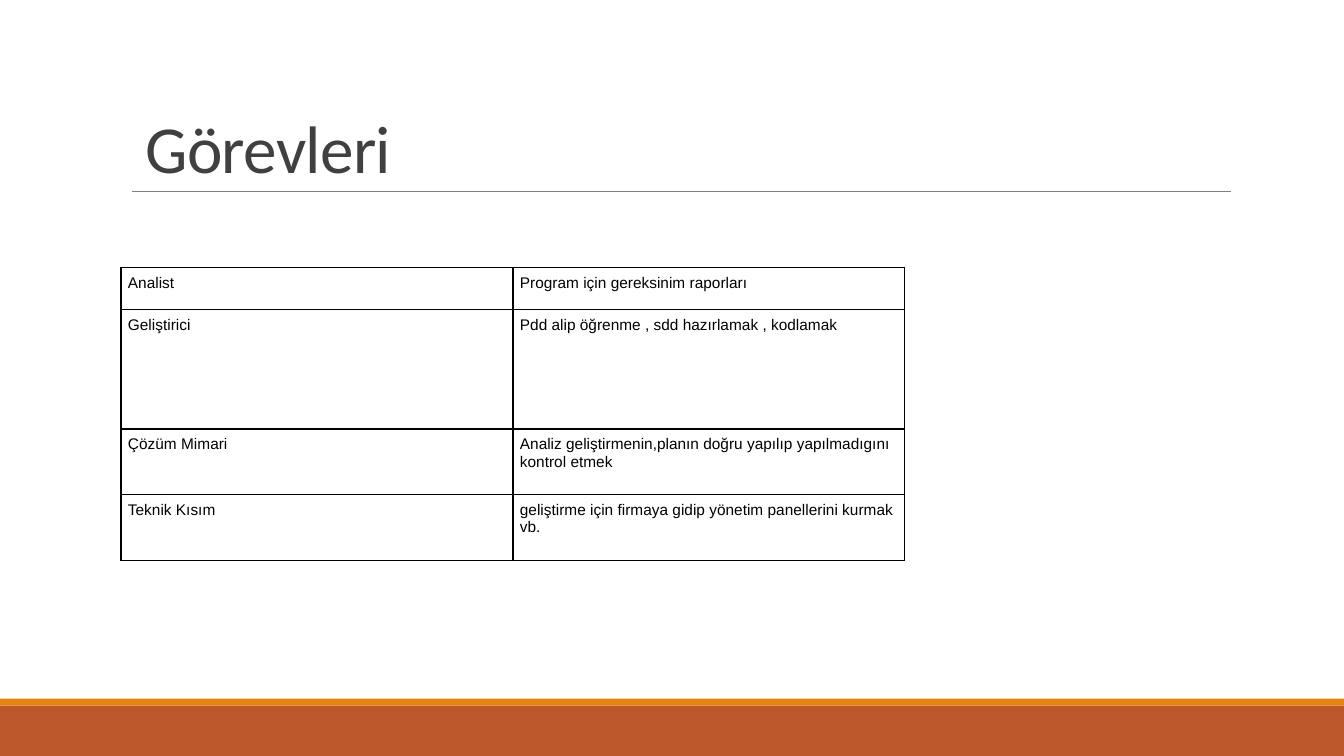
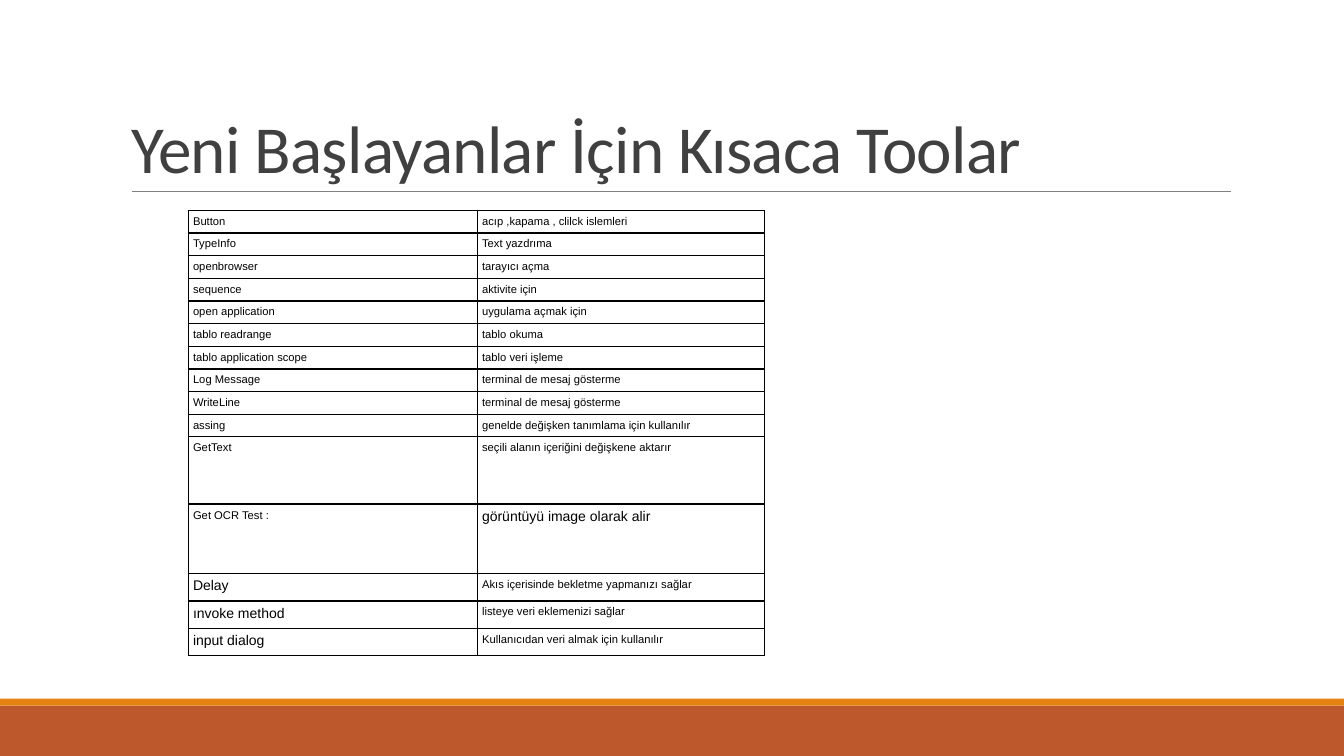
from lxml import etree
from pptx import Presentation
from pptx.dml.color import RGBColor
from pptx.enum.shapes import MSO_CONNECTOR, MSO_SHAPE
from pptx.enum.text import MSO_ANCHOR, PP_ALIGN
from pptx.oxml.ns import qn
from pptx.util import Pt

LEFT, TOP, BOTTOM = PP_ALIGN.LEFT, MSO_ANCHOR.TOP, MSO_ANCHOR.BOTTOM
RECTANGLE, STRAIGHT = MSO_SHAPE.RECTANGLE, MSO_CONNECTOR.STRAIGHT

RUST = RGBColor(0xBD, 0x58, 0x2C)
ORANGE = RGBColor(0xE4, 0x83, 0x12)
GRAY = RGBColor(0x80, 0x80, 0x80)
CHARCOAL = RGBColor(0x40, 0x40, 0x40)
BLACK = RGBColor(0, 0, 0)

PAGE_WIDTH, PAGE_HEIGHT = 960, 540
TITLE_ONLY = 5
TITLE_AREA = (86.4, 22.5, 792, 114.5)
TITLE_INSET = 7.2
BANDS = [(504, 36, RUST), (499, 5, ORANGE)]  # top, height, colour
RULE = (94.5, 136.7, 879, 136.7)

# Row groups: row height, label size, description size, rows
SLIDES = [
    {
        "title": "Görevleri",
        "indent": 10.4,
        "origin": (86.4, 190.8),
        "columns": (280, 280),
        "inset": 5,
        "groups": [
            (30, 11, 11, [("Analist", "Program için gereksinim raporları")]),
            (85.7, 11, 11, [
                ("Geliştirici", "Pdd alip öğrenme , sdd hazırlamak , kodlamak"),
            ]),
            (47, 11, 11, [
                ("Çözüm Mimari",
                 "Analiz geliştirmenin,planın doğru yapılıp yapılmadıgını kontrol etmek"),
                ("Teknik Kısım",
                 "geliştirme için firmaya gidip yönetim panellerini kurmak vb."),
            ]),
        ],
    },
    {
        "title": "Yeni Başlayanlar İçin Kısaca Toolar",
        "indent": 0,
        "origin": (134.5, 150.2),
        "columns": (206.5, 205),
        "inset": 3.4,
        "groups": [
            (16.2, 8, 8, [
                ("Button", "acıp ,kapama , clilck islemleri"),
                ("TypeInfo", "Text yazdrıma"),
                ("openbrowser", "tarayıcı açma"),
                ("sequence", "aktivite için"),
                ("open application", "uygulama açmak için"),
                ("tablo readrange", "tablo okuma"),
                ("tablo application scope", "tablo veri işleme"),
                ("Log Message", "terminal de mesaj gösterme"),
                ("WriteLine", "terminal de mesaj gösterme"),
                ("assing", "genelde değişken tanımlama için kullanılır"),
            ]),
            (48, 8, 8, [("GetText", "seçili alanın içeriğini değişkene aktarır")]),
            (49.7, 8, 10, [("Get OCR Test :", "görüntüyü image olarak alir")]),
            (19.5, 10, 8, [
                ("Delay", "Akıs içerisinde bekletme yapmanızı sağlar"),
                ("ınvoke method", "listeye veri eklemenizi sağlar"),
                ("input dialog", "Kullanıcıdan veri almak için kullanılır"),
            ]),
        ],
    },
]


def points(values):
    return [Pt(value) for value in values]


def add_run(para, text, font_name, size, color):
    span = para.add_run()
    span.text = text
    span.font.name = font_name
    span.font.size = Pt(size)
    span.font.color.rgb = color
    return span


def prepare_layout(layout, page):
    """Draw the shared bands and rule on page, then move them to its layout."""
    title = layout.placeholders[0]
    title.left, title.top, title.width, title.height = points(TITLE_AREA)
    title.text_frame.vertical_anchor = BOTTOM

    decorations = []
    for top, height, color in BANDS:
        band = page.shapes.add_shape(RECTANGLE, *points((0, top, PAGE_WIDTH, height)))
        band.shadow.inherit = False
        band.fill.solid()
        band.fill.fore_color.rgb = color
        band.line.fill.background()
        decorations.append(band)

    rule = page.shapes.add_connector(STRAIGHT, *points(RULE))
    rule.line.color.rgb = GRAY
    rule.line.width = Pt(0.5)
    etree.SubElement(rule.element.spPr, qn("a:effectLst"))
    decorations.append(rule)

    for number, shape in enumerate(decorations, start=100):
        shape.element.xpath(".//p:cNvPr")[0].set("id", str(number))
        layout.shapes.element.append(shape.element)


def fill_title(title, text, indent):
    frame = title.text_frame
    frame.margin_left = Pt(TITLE_INSET + indent)
    para = frame.paragraphs[0]
    para.alignment = LEFT
    para.line_spacing = 0.85
    span = add_run(para, text, "Calibri", 48, CHARCOAL)
    span.font._element.set("spc", "-50")


def add_borders(cell):
    properties = cell._tc.get_or_add_tcPr()
    for position, side in enumerate(("lnL", "lnR", "lnT", "lnB")):
        border = etree.Element(qn(f"a:{side}"), w=str(Pt(1)))
        fill = etree.SubElement(border, qn("a:solidFill"))
        etree.SubElement(fill, qn("a:srgbClr"), val=str(BLACK))
        properties.insert(position, border)


def fill_cell(cell, text, size, inset):
    cell.fill.background()
    add_borders(cell)
    cell.margin_left = cell.margin_right = Pt(inset)
    cell.margin_top = cell.margin_bottom = Pt(inset)
    cell.vertical_anchor = TOP
    add_run(cell.text_frame.paragraphs[0], text, "Arial", size, BLACK)


def add_grid(page, content):
    rows = [
        (height, zip(texts, (label_size, text_size)))
        for height, label_size, text_size, entries in content["groups"]
        for texts in entries
    ]
    columns = content["columns"]
    size = (sum(columns), sum(height for height, _ in rows))
    frame = page.shapes.add_table(
        len(rows), len(columns), *points(content["origin"] + size)
    )
    table = frame.table
    table.first_row = table.horz_banding = False
    for column, width in zip(table.columns, columns):
        column.width = Pt(width)
    for row, (height, cells) in zip(table.rows, rows):
        row.height = Pt(height)
        for cell, (text, font_size) in zip(row.cells, cells):
            fill_cell(cell, text, font_size, content["inset"])


def main():
    deck = Presentation()
    deck.slide_width, deck.slide_height = points((PAGE_WIDTH, PAGE_HEIGHT))
    layout = deck.slide_layouts[TITLE_ONLY]
    pages = [deck.slides.add_slide(layout) for _ in SLIDES]
    prepare_layout(layout, pages[0])
    for page, content in zip(pages, SLIDES):
        fill_title(page.shapes.title, content["title"], content["indent"])
        add_grid(page, content)
    deck.save("out.pptx")


if __name__ == "__main__":
    main()
